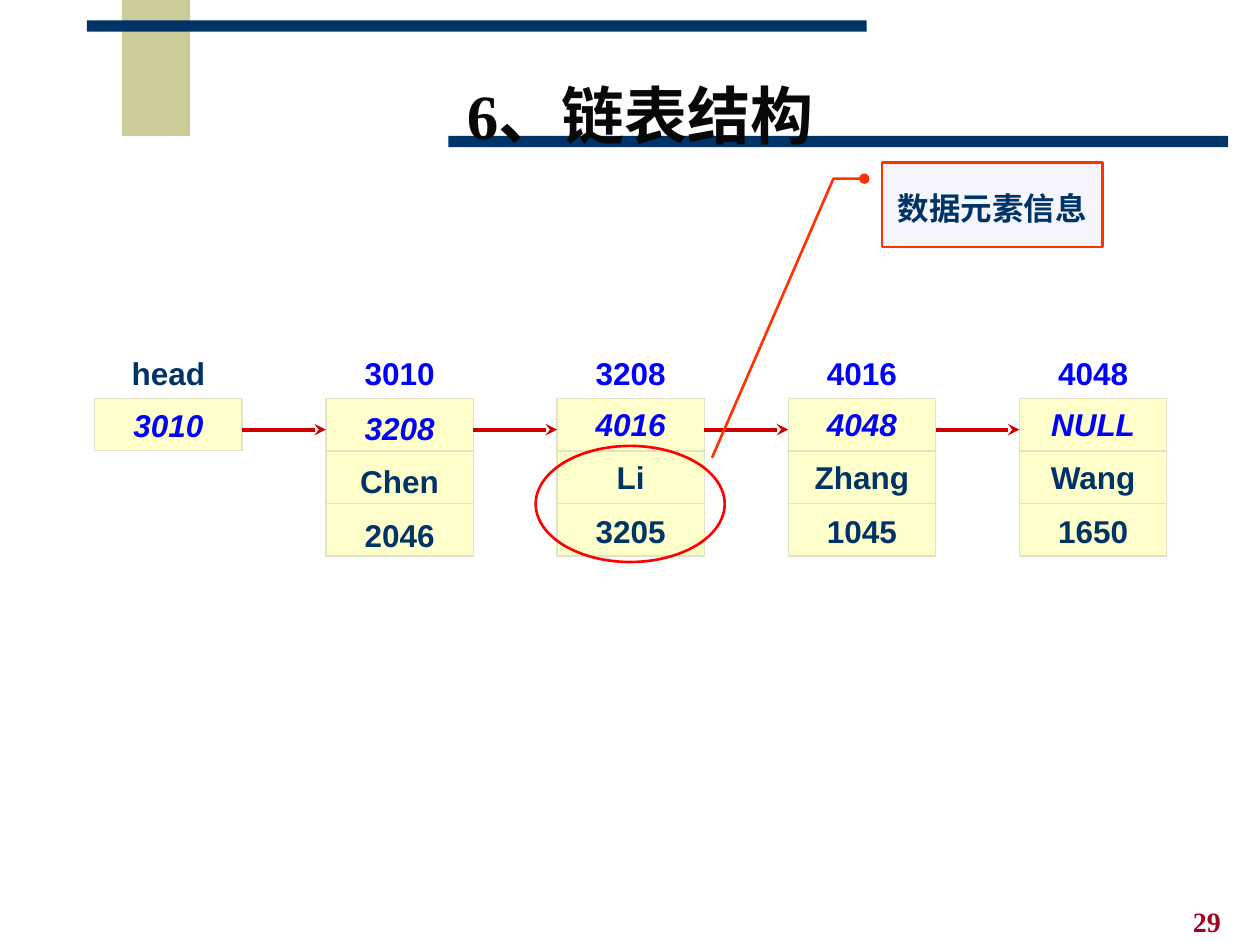
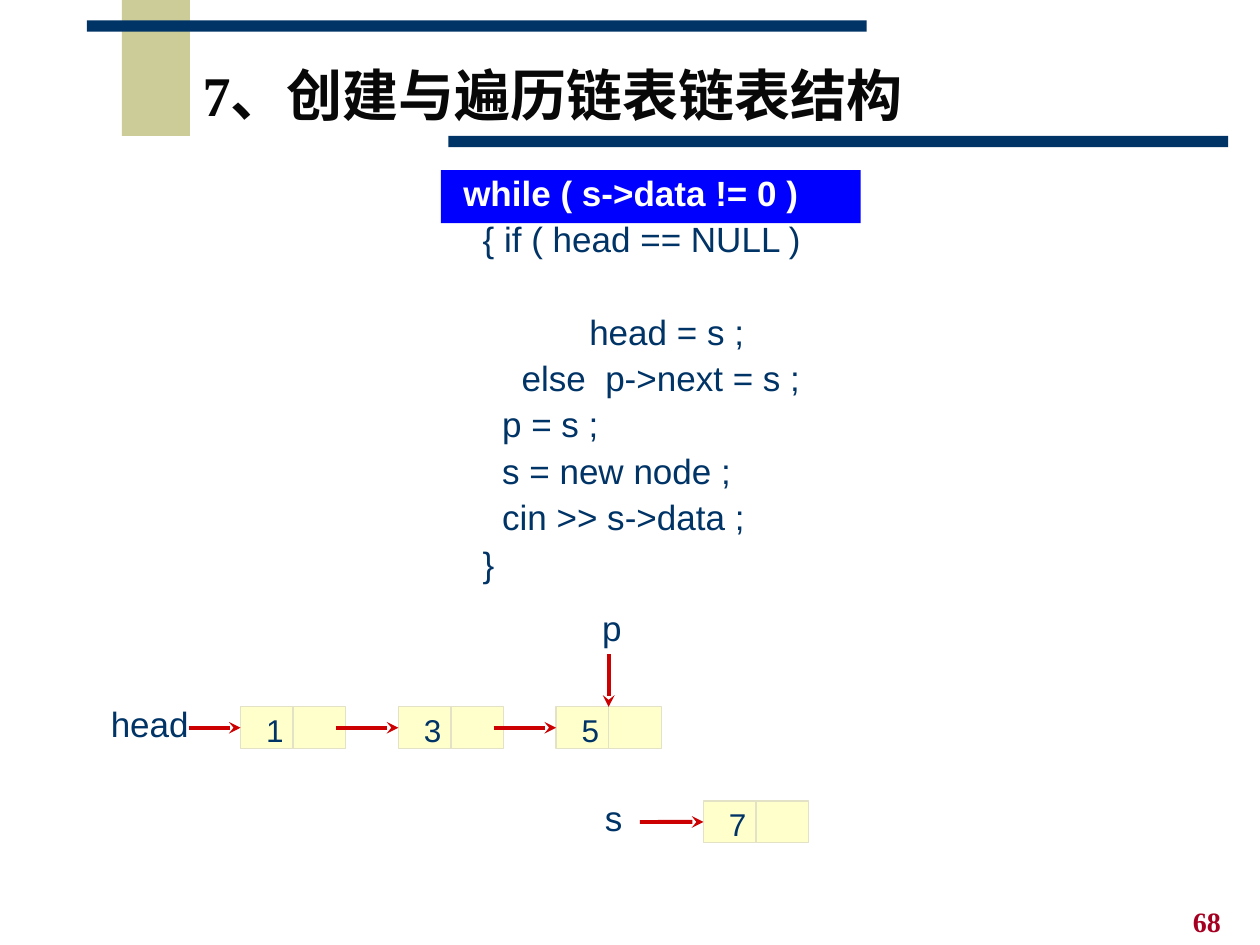
from pptx import Presentation
from pptx.dml.color import RGBColor
from pptx.enum.shapes import MSO_CONNECTOR, MSO_SHAPE
from pptx.enum.text import MSO_ANCHOR, MSO_AUTO_SIZE, PP_ALIGN
from pptx.oxml.ns import qn
from pptx.util import Cm, Pt
from lxml.etree import SubElement

NAVY, BLUE, WHITE = "003366", "0000FF", "FFFFFF"
CELL_FILL, CELL_LINE, ARROW = "FFFFCC", "E3E2C7", "CC0000"
SANS, SERIF = "Arial", "Times New Roman"

# left, top, width, height in cm, colour
BANDS = [
    (2.46, 0, 1.37, 2.74, "CCCC99"),
    (1.75, 0.41, 15.72, 0.23, NAVY),
    (9.04, 2.74, 15.72, 0.23, NAVY),
]

STRUCTURE = {
    "title": [("6", SERIF), ("、链表结构", SANS)],
    "title_size": 36,
    "title_area": (7.09, 1.27, 11.63, 2.31),
    "number": "29",
}
# label above the node, label colour, rows (the first is the pointer)
LIST_NODES = [
    ("head", NAVY, ["3010"]),
    ("3010", BLUE, ["3208", "Chen", "2046"]),
    ("3208", BLUE, ["4016", "Li", "3205"]),
    ("4016", BLUE, ["4048", "Zhang", "1045"]),
    ("4048", BLUE, ["NULL", "Wang", "1650"]),
]
LOWERED_NODE = 1
CALLOUT_TEXT = "数据元素信息"
CALLOUT_BENDS = [0.19, -0.08, 0.19, -0.22, 3.5, -0.77]

TRAVERSAL = {
    "title": [("7、创建与遍历链表链表结构", SERIF)],
    "title_size": 32,
    "title_area": (3.58, 0.74, 15.14, 2.54),
    "number": "68",
}
CODE = [
    "while ( s->data != 0 )",
    "  { if ( head == NULL )",
    "head = s ;",
    "      else  p->next = s ;",
    "    p = s ;",
    "    s = new node ;",
    "    cin >> s->data ;",
    "  }",
]
INDENTED_LINE = 2
LINKED_VALUES = ["1", "3", "5"]
NEW_VALUE = "7"
POINTERS = [
    ("head", 1.98, 14.02, 2.08),
    ("p", 11.89, 12.09, 0.89),
    ("s", 11.94, 15.93, 0.86),
]

NODE_LEFT, NODE_TOP, NODE_STEP = 1.91, 8.03, 4.66
NODE_WIDTH, ROW_HEIGHT = 2.97, 1.06
LINK_Y = 8.66
PAIR_LEFT, PAIR_TOP, PAIR_STEP = 4.85, 14.25, 3.18
PAIR_WIDTH, PAIR_HEIGHT = 2.12, 0.84


def colour(hex_text):
    return RGBColor.from_string(hex_text)


def write(paragraph, text, size=18, font=SANS, color=NAVY, bold=False,
          italic=False, align=PP_ALIGN.CENTER):
    paragraph.alignment = align
    span = paragraph.add_run()
    span.text = text
    span.font.size, span.font.name = Pt(size), font
    span.font.bold, span.font.italic = bold, italic
    span.font.color.rgb = colour(color)


def set_frame(frame, margins=(0.25, 0.13, 0.25, 0.13), anchor=MSO_ANCHOR.MIDDLE,
              wrap=True):
    """Margins are left, top, right, bottom in cm."""
    (frame.margin_left, frame.margin_top,
     frame.margin_right, frame.margin_bottom) = map(Cm, margins)
    frame.vertical_anchor = anchor
    frame.word_wrap = wrap
    frame.auto_size = MSO_AUTO_SIZE.NONE
    return frame


def add_box(page, area, kind=MSO_SHAPE.RECTANGLE, fill=None, line=None, weight=0.75):
    box = page.shapes.add_shape(kind, *map(Cm, area))
    box.shadow.inherit = False
    if fill:
        box.fill.solid()
        box.fill.fore_color.rgb = colour(fill)
    else:
        box.fill.background()
    if line:
        box.line.color.rgb = colour(line)
        box.line.width = Pt(weight)
    else:
        box.line.fill.background()
    return box


def add_label(page, text, area, wrap=True, anchor=MSO_ANCHOR.MIDDLE, **style):
    label = page.shapes.add_textbox(*map(Cm, area))
    frame = set_frame(label.text_frame, anchor=anchor, wrap=wrap)
    write(frame.paragraphs[0], text, **style)


def add_line(page, start, end, color=CELL_LINE, weight=0.75):
    line = page.shapes.add_connector(MSO_CONNECTOR.STRAIGHT, *map(Cm, start + end))
    line.line.color.rgb = colour(color)
    line.line.width = Pt(weight)
    SubElement(line.element.spPr, qn("a:effectLst"))
    return line


def add_line_end(shape, tag, kind):
    outline = shape.element.spPr.find(qn("a:ln"))
    SubElement(outline, qn(tag), type=kind)


def add_arrow(page, start, end):
    arrow = add_line(page, start, end, ARROW, 2.25)
    add_line_end(arrow, "a:tailEnd", "stealth")
    return arrow


def add_page(deck, content):
    page = deck.slides.add_slide(deck.slide_layouts[5])
    for *area, fill in BANDS:
        add_box(page, area, fill=fill)
    add_label(page, content["number"], (23.8, 18.11, 1.6, 0.94), size=16, font=SERIF,
              color="A50021", bold=True, align=PP_ALIGN.LEFT, anchor=MSO_ANCHOR.TOP)
    title = page.shapes.title
    title.left, title.top, title.width, title.height = map(Cm, content["title_area"])
    paragraph = set_frame(title.text_frame).paragraphs[0]
    paragraph.line_spacing = 0.85
    for text, font in content["title"]:
        write(paragraph, text, content["title_size"], font, "080808", bold=True)
    title.element.getparent().append(title.element)  # in front of the bands
    return page


def add_list_node(page, left, label, label_color, rows, lowered=0):
    add_label(page, label, (left + 0.43, 7.01, 2.11, 1.02), color=label_color, bold=True)
    node = add_box(page, (left, NODE_TOP, NODE_WIDTH, ROW_HEIGHT * len(rows)),
                   fill=CELL_FILL, line=CELL_LINE)
    frame = set_frame(node.text_frame, margins=(0.25, lowered, 0.25, 0))
    for index, text in enumerate(rows):
        paragraph = frame.add_paragraph() if index else frame.paragraphs[0]
        if index:
            paragraph.space_before = Pt(9)
            y = NODE_TOP + index * ROW_HEIGHT
            add_line(page, (left, y), (left + NODE_WIDTH, y))
        is_pointer = index == 0
        write(paragraph, text, bold=True, italic=is_pointer,
              color=BLUE if is_pointer else NAVY)


def add_pair(page, left, top, value):
    """Draw a node whose left half holds a value and right half a link."""
    pair = add_box(page, (left, top, PAIR_WIDTH, PAIR_HEIGHT),
                   fill=CELL_FILL, line=CELL_LINE)
    frame = set_frame(pair.text_frame, margins=(0, 0.08, 0.74, 0))
    write(frame.paragraphs[0], value)
    middle = left + PAIR_WIDTH / 2
    divider = add_line(page, (middle, top), (middle, top + PAIR_HEIGHT))
    divider.begin_connect(pair, 0)
    divider.end_connect(pair, 2)
    return pair


def point_at_left(page, start, left, top, pair):
    y = top + PAIR_HEIGHT / 2
    add_arrow(page, (start, y), (left, y)).end_connect(pair, 1)


def build_structure(deck):
    page = add_page(deck, STRUCTURE)
    for index, node in enumerate(LIST_NODES):
        left = NODE_LEFT + index * NODE_STEP
        add_list_node(page, left, *node, lowered=0.16 if index == LOWERED_NODE else 0)
        if index:
            add_arrow(page, (left - NODE_STEP + NODE_WIDTH, LINK_Y), (left, LINK_Y))
    add_box(page, (10.8, 8.99, 3.81, 2.34), MSO_SHAPE.OVAL, line="FF0000", weight=1.5)
    callout = add_box(page, (17.78, 3.28, 4.45, 1.7), MSO_SHAPE.LINE_CALLOUT_2,
                      "F5F6FD", "FF3300", 1.5)
    for index, bend in enumerate(CALLOUT_BENDS):
        callout.adjustments[index] = bend
    add_line_end(callout, "a:headEnd", "oval")
    frame = set_frame(callout.text_frame, margins=(0.25, 0.25, 0.25, 0.13))
    write(frame.paragraphs[0], CALLOUT_TEXT, bold=True)


def add_code(page):
    add_box(page, (8.89, 3.43, 8.46, 1.07), fill=BLUE)
    listing = page.shapes.add_textbox(*map(Cm, (9.09, 3.23, 8.05, 8.64)))
    frame = set_frame(listing.text_frame, anchor=MSO_ANCHOR.TOP)
    for index, text in enumerate(CODE):
        paragraph = frame.add_paragraph() if index else frame.paragraphs[0]
        paragraph.line_spacing = Pt(26.5)
        if index == INDENTED_LINE:
            paragraph.space_before = Pt(26.5)
            paragraph._p.get_or_add_pPr().set("marL", str(Cm(2.54)))
        highlighted = index == 0
        write(paragraph, text, size=20, bold=highlighted, align=PP_ALIGN.LEFT,
              color=WHITE if highlighted else NAVY)


def build_traversal(deck):
    page = add_page(deck, TRAVERSAL)
    add_code(page)
    for text, left, top, width in POINTERS:
        add_label(page, text, (left, top, width, 1.12), size=20, wrap=False)
    start = 3.81
    for index, value in enumerate(LINKED_VALUES):
        left = PAIR_LEFT + index * PAIR_STEP
        pair = add_pair(page, left, PAIR_TOP, value)
        point_at_left(page, start, left, PAIR_TOP, pair)
        start = left + PAIR_WIDTH - 0.2
    middle = left + PAIR_WIDTH / 2
    add_arrow(page, (middle, 13.18), (middle, PAIR_TOP)).end_connect(pair, 0)
    new_left, new_top = 14.18, 16.15
    new_pair = add_pair(page, new_left, new_top, NEW_VALUE)
    point_at_left(page, 12.9, new_left, new_top, new_pair)


def main():
    deck = Presentation()
    deck.slide_width, deck.slide_height = Cm(25.4), Cm(19.05)
    build_structure(deck)
    build_traversal(deck)
    deck.save("out.pptx")


if __name__ == "__main__":
    main()
